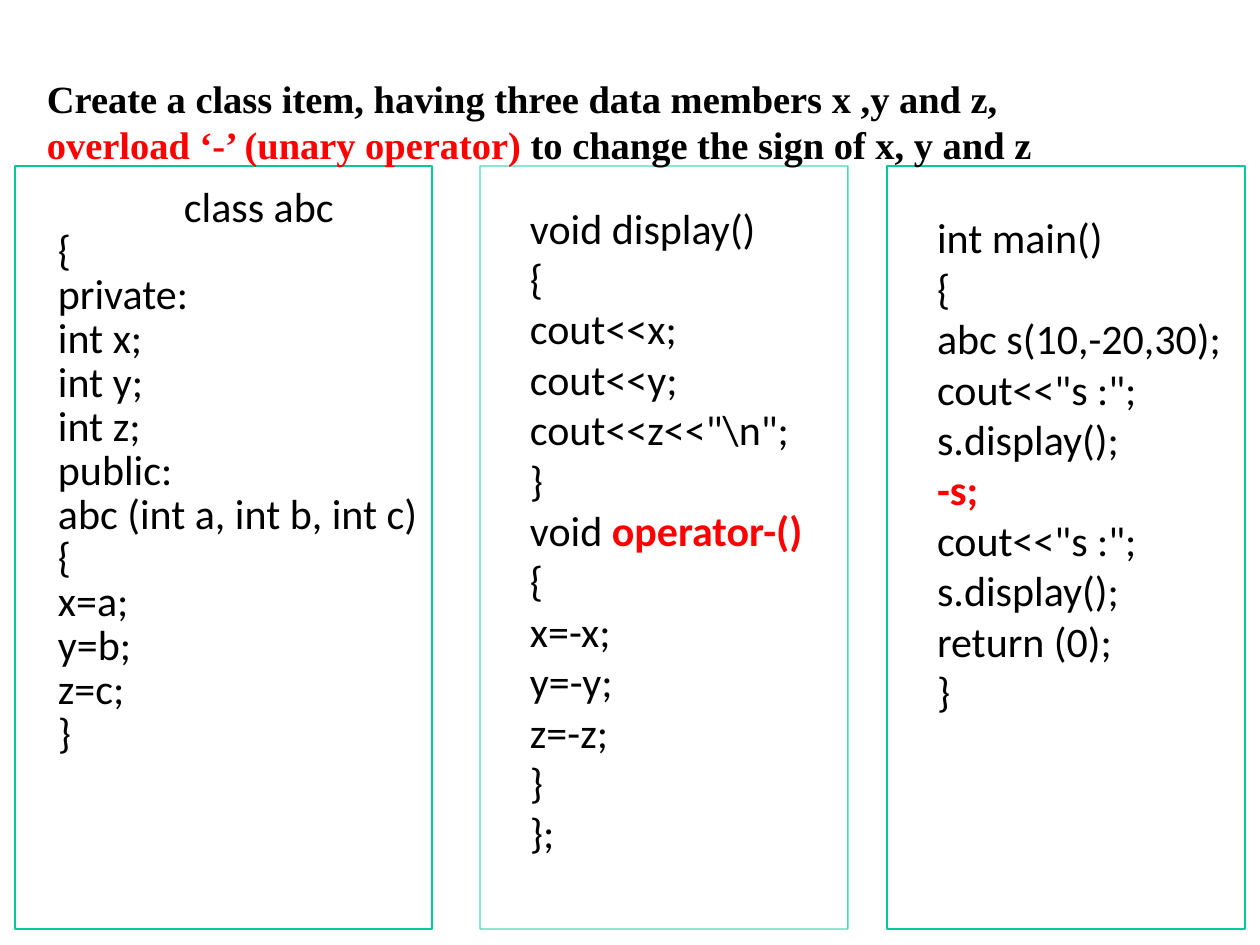
import lxml.etree
import pptx
import pptx.dml.color
import pptx.enum.shapes
import pptx.enum.text
import pptx.oxml.ns
import pptx.util

BLACK = pptx.dml.color.RGBColor(0x00, 0x00, 0x00)
RED = pptx.dml.color.RGBColor(0xFF, 0x00, 0x00)
GREEN = pptx.dml.color.RGBColor(0x00, 0xCC, 0x99)

TOP, HIGH = 166, 763

CLASS = """class abc
{
private:
int x;
int y;
int z;
public:
abc (int a, int b, int c)
{
x=a;
y=b;
z=c;
}"""

METHODS = """void display()
{
cout<<x;
cout<<y;
cout<<z<<"\\n";
}
void operator-()
{
x=-x;
y=-y;
z=-z;
}
};"""

MAIN = """int main()
{
abc s(10,-20,30);
cout<<"s :";
s.display();
-s;
cout<<"s :";
s.display();
return (0);
}"""

TITLE = ("Create a class item, having three data members x ,y and z, "
         "overload ‘-’ (unary operator) to change the sign of x, y and z")


def px(count):
    return pptx.util.Emu(round(count * 914400 / 126))


class Page:
    def __init__(self, deck):
        self.slide = deck.slides.add_slide(deck.slide_layouts[6])
        self.code = ("Calibri", 24, False)
        self.head = ("Times New Roman", 22, True)

    def label(self, shape, text, style, insets, key=None):
        frame = shape.text_frame
        frame.word_wrap = True
        frame.vertical_anchor = pptx.enum.text.MSO_ANCHOR.TOP
        (frame.margin_left, frame.margin_top,
         frame.margin_right, frame.margin_bottom) = map(px, insets)
        frame.text = text
        face, size, bold = style
        for line in frame.paragraphs:
            line.alignment = pptx.enum.text.PP_ALIGN.LEFT
            if key and key in line.text:
                before, after = line.text.split(key)
                line.text = before
                for part in (key, after):
                    if part:
                        line.add_run().text = part
            for run in line.runs:
                hot = run.text == key
                run.font.name = face
                run.font.size = pptx.util.Pt(size)
                run.font.bold = bold or hot
                run.font.color.rgb = RED if hot else BLACK
        return frame

    def panel(self, left, width, text, insets, key=None, alpha=None):
        kind = pptx.enum.shapes.MSO_SHAPE.RECTANGLE
        box = self.slide.shapes.add_shape(kind, px(left), px(TOP), px(width), px(HIGH))
        box.shadow.inherit = False
        box.fill.background()
        box.line.color.rgb = GREEN
        box.line.width = pptx.util.Pt(0.75)
        if alpha:
            color = box.line._ln.find(".//" + pptx.oxml.ns.qn("a:srgbClr"))
            tag = pptx.oxml.ns.qn("a:alpha")
            lxml.etree.SubElement(color, tag).set("val", str(alpha * 1000))
        return self.label(box, text, self.code, insets, key)

    def title(self, left, top, width, height, text, key):
        box = self.slide.shapes.add_textbox(px(left), px(top), px(width), px(height))
        self.label(box, text, self.head, (13, 6, 13, 6), key)


def main():
    deck = pptx.Presentation()
    deck.slide_width, deck.slide_height = px(1260), px(945)
    page = Page(deck)
    frame = page.panel(15, 417, CLASS, (43, 21, 0, 0))
    for line in frame.paragraphs:
        line.line_spacing = 0.87
    frame.paragraphs[0]._p.get_or_add_pPr().set("indent", str(px(126)))
    page.panel(480, 368, METHODS, (50, 36, 13, 6), "operator-()", 69)
    page.panel(887, 358, MAIN, (50, 46, 13, 6), "-s;")
    page.title(34, 69, 1123, 106, TITLE, "overload ‘-’ (unary operator) ")
    deck.save("out.pptx")


if __name__ == "__main__":
    main()
